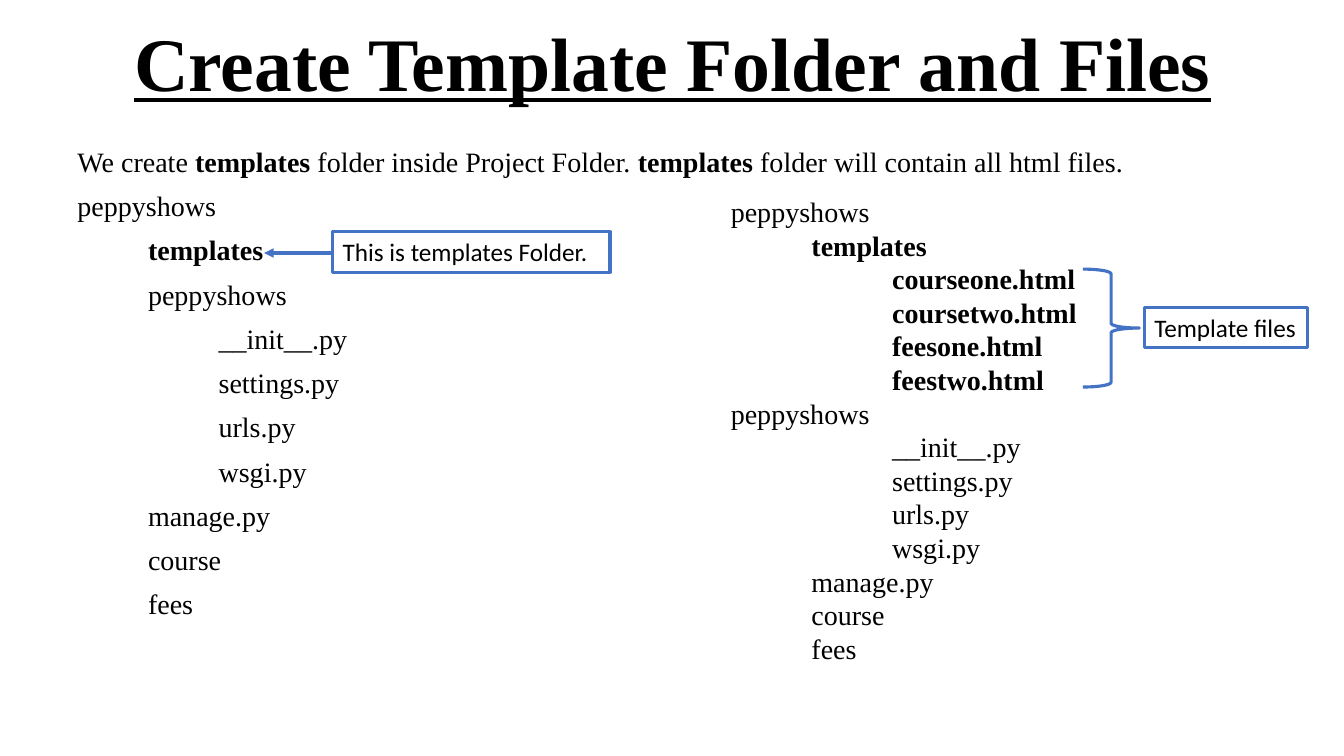
from dataclasses import dataclass

from lxml.etree import SubElement
from pptx import Presentation
from pptx.dml.color import RGBColor
from pptx.enum.shapes import MSO_CONNECTOR, MSO_SHAPE
from pptx.enum.text import MSO_ANCHOR, PP_ALIGN
from pptx.oxml.ns import qn
from pptx.util import Pt

SCALE = 9144


@dataclass(frozen=True)
class Theme:
    """Colours, fonts and type sizes of the slide."""
    ink: RGBColor = RGBColor(0, 0, 0)
    paper: RGBColor = RGBColor(255, 255, 255)
    blue: RGBColor = RGBColor(0x44, 0x72, 0xC4)
    serif: str = "Times New Roman"
    sans: str = "Calibri"
    title: int = 54
    body: int = 20
    note: int = 18
    line: float = 2.25


THEME = Theme()

PLAN = [
    (0, "We create *templates* folder inside Project Folder. "
        "*templates* folder will contain all html files."),
    (0, "peppyshows"),
    (1, "*templates*"),
    (1, "peppyshows"),
    (2, "__init__.py"),
    (2, "settings.py"),
    (2, "urls.py"),
    (2, "wsgi.py"),
    (1, "manage.py"),
    (1, "course"),
    (1, "fees"),
]
PAGES = ["courseone", "coursetwo", "feesone", "feestwo"]
TREE = [
    PLAN[1],
    PLAN[2],
    *[(2, f"*{name}.html*") for name in PAGES],
    PLAN[1],
    *PLAN[4:],
]


def px(*sizes):
    """Turn px lengths into EMU."""
    return [size * SCALE for size in sizes]


def write(frame, rows, font=THEME.serif, size=THEME.body, line=None, before=None,
          step=0, align=PP_ALIGN.LEFT, anchor=MSO_ANCHOR.TOP, under=None, wrap=True):
    """Fill a frame with (level, text) rows; stars enclose bold words."""
    frame.word_wrap = wrap
    frame.vertical_anchor = anchor
    for spot, (level, text) in enumerate(rows):
        para = frame.add_paragraph() if spot else frame.paragraphs[0]
        para.alignment = align
        para.line_spacing = line
        para.space_before = before
        if level:
            para._p.get_or_add_pPr().set("marL", str(level * step * SCALE))
        for turn, part in enumerate(text.split("*")):
            if part:
                run = para.add_run()
                run.text = part
                run.font.name = font
                run.font.size = Pt(size)
                run.font.bold = turn % 2 == 1
                run.font.underline = under
                run.font.color.rgb = THEME.ink


def outline(item):
    """Give a shape or connector the blue line."""
    item.line.color.rgb = THEME.blue
    item.line.width = Pt(THEME.line)


def title(slide, box):
    """Place the underlined heading."""
    write(slide.shapes.add_textbox(*px(*box)).text_frame,
          [(0, "*Create Template Folder and Files*")], size=THEME.title,
          line=0.9, align=PP_ALIGN.CENTER, anchor=MSO_ANCHOR.MIDDLE, under=True)


def label(slide, box, text, wrap=True):
    """Place a framed note."""
    shape = slide.shapes.add_shape(MSO_SHAPE.RECTANGLE, *px(*box))
    shape.shadow.inherit = False
    shape.fill.solid()
    shape.fill.fore_color.rgb = THEME.paper
    outline(shape)
    write(shape.text_frame, [(0, text)], font=THEME.sans, size=THEME.note, wrap=wrap)


def arrow(slide, start, end):
    """Draw an arrow that points at its end."""
    line = slide.shapes.add_connector(MSO_CONNECTOR.STRAIGHT, *px(*start, *end))
    outline(line)
    SubElement(line.line._get_or_add_ln(), qn("a:tailEnd"), type="triangle")
    SubElement(line._element.spPr, qn("a:effectLst"))


def brace(slide, box):
    """Draw a right brace."""
    shape = slide.shapes.add_shape(MSO_SHAPE.RIGHT_BRACE, *px(*box))
    shape.shadow.inherit = False
    shape.fill.background()
    outline(shape)


def folder(slide, box):
    """Place the intro and folder list with its note."""
    left, top, _, _ = box
    write(slide.shapes.add_textbox(*px(*box)).text_frame, PLAN,
          line=0.9, before=Pt(10), step=70)
    label(slide, (left + 263, top + 88, 275, 40), "This is templates Folder.")
    arrow(slide, (left + 262, top + 109), (left + 195, top + 109))


def files(slide, box):
    """Place the file tree with its brace and note."""
    left, top, _, _ = box
    write(slide.shapes.add_textbox(*px(*box)).text_frame, TREE, step=80)
    brace(slide, (left + 359, top + 79, 56, 117))
    label(slide, (left + 420, top + 117, 162, 40), "Template files", wrap=False)


def main():
    """Build and save the slide."""
    deck = Presentation()
    deck.slide_width, deck.slide_height = px(1333, 750)
    slide = deck.slides.add_slide(deck.slide_layouts[6])
    title(slide, (67, 4, 1200, 125))
    folder(slide, (67, 142, 1120, 590))
    files(slide, (715, 188, 453, 481))
    deck.save("out.pptx")


if __name__ == "__main__":
    main()
